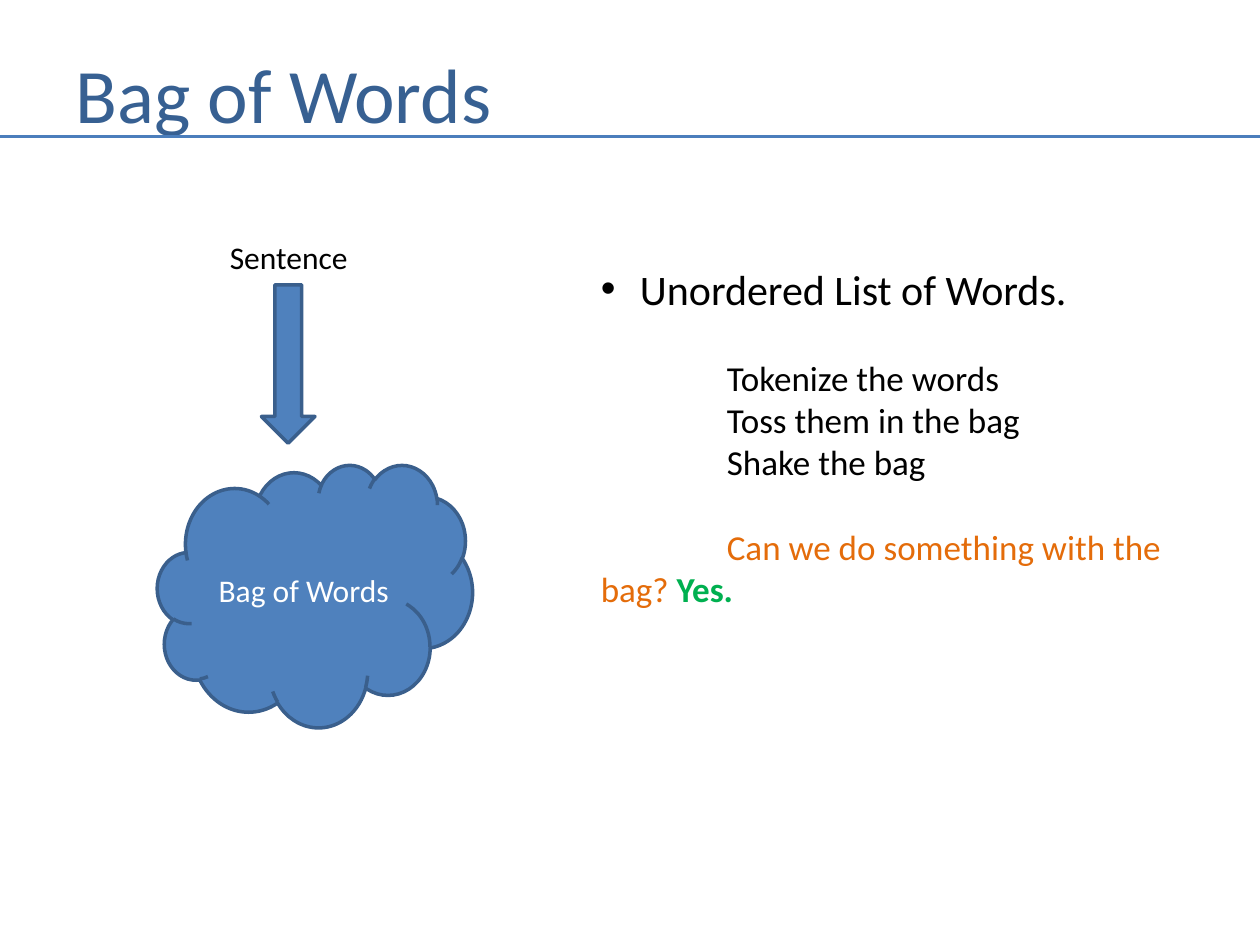
from lxml.etree import SubElement
from pptx import Presentation
from pptx.dml.color import RGBColor
from pptx.enum.shapes import MSO_CONNECTOR as Link, MSO_SHAPE as Shape
from pptx.enum.text import MSO_ANCHOR as Anchor, PP_ALIGN as Align
from pptx.oxml.ns import qn
from pptx.util import Inches, Pt

FONT = "Calibri"
NAVY = RGBColor(0x37, 0x60, 0x92)
RULE = RGBColor(0x4B, 0x7E, 0xBC)
BLUE = RGBColor(0x4F, 0x81, 0xBD)
EDGE = RGBColor(0x3A, 0x5F, 0x8C)
ORANGE = RGBColor(0xE4, 0x6C, 0x0A)
GREEN = RGBColor(0x00, 0xB0, 0x50)
BLACK = RGBColor(0, 0, 0)
WHITE = RGBColor(255, 255, 255)

WIDTH, HEIGHT = 10, 7.5
STEPS = ["Tokenize the words", "Toss them in the bag", "Shake the bag"]
BLANK_LINE = 24.4  # height in points of one line of 20 pt text


def inches(*box):
    return [Inches(v) for v in box]


def write(para, text, size=18, color=BLACK, bold=False):
    run = para.add_run()
    run.text = text
    font = run.font
    font.name, font.size, font.bold = FONT, Pt(size), bold
    font.color.rgb = color


def indent(para, left, first, bullet=None):
    """Set left margin and first-line indent in inches, with an optional bullet."""
    props = para._p.get_or_add_pPr()
    props.set("marL", str(Inches(left)))
    props.set("indent", str(Inches(first)))
    if bullet:
        SubElement(props, qn("a:buFont"), typeface="Arial")
        SubElement(props, qn("a:buChar"), char=bullet)


def add_box(slide, box, wrap=True, anchor=Anchor.TOP):
    frame = slide.shapes.add_textbox(*inches(*box)).text_frame
    frame.word_wrap = wrap
    frame.vertical_anchor = anchor
    return frame


def add_solid(slide, kind, box):
    shape = slide.shapes.add_shape(kind, *inches(*box))
    shape.shadow.inherit = False
    shape.fill.solid()
    shape.fill.fore_color.rgb = BLUE
    shape.line.color.rgb = EDGE
    shape.line.width = Pt(2)
    return shape


def add_header(slide, box):
    x, y, w, h = box
    frame = add_box(slide, (x + 0.05 * w, y, 0.86 * w, h), anchor=Anchor.MIDDLE)
    write(frame.paragraphs[0], "Bag of Words", size=44, color=NAVY)
    level = y + 0.9 * h
    rule = slide.shapes.add_connector(Link.STRAIGHT, *inches(x, level, x + w, level))
    rule.line.color.rgb = RULE
    rule.line.width = Pt(1.5)
    SubElement(rule._element.spPr, qn("a:effectLst"))


def add_diagram(slide, box):
    """Sentence label on top, arrow below it, cloud at the bottom."""
    x, y, w, h = box
    cloud = add_solid(slide, Shape.CLOUD, (x, y + 0.47 * h, w, 0.53 * h))
    cloud.text_frame.vertical_anchor = Anchor.MIDDLE
    para = cloud.text_frame.paragraphs[0]
    para.alignment = Align.CENTER
    write(para, "Bag of Words", color=WHITE)
    label = add_box(slide, (x + 0.19 * w, y, 0.46 * w, 0.1 * h), wrap=False)
    write(label.paragraphs[0], "Sentence")
    add_solid(slide, Shape.DOWN_ARROW,
              (x + 0.33 * w, y + 0.107 * h, 0.17 * w, 0.32 * h))


def add_notes(slide, box):
    frame = add_box(slide, box)
    head = frame.paragraphs[0]
    indent(head, 0.31, -0.31, bullet="•")
    write(head, "Unordered List of Words.", size=24)
    for i, step in enumerate(STEPS):
        para = frame.add_paragraph()
        indent(para, 0, 1)
        para.space_before = Pt(0 if i else BLANK_LINE)
        write(para, step, size=20)
    close = frame.add_paragraph()
    indent(close, 0, 1)
    close.space_before = Pt(BLANK_LINE)
    write(close, "Can we do something with the bag? ", size=20, color=ORANGE)
    write(close, "Yes.", size=20, color=GREEN, bold=True)


def main():
    deck = Presentation()
    deck.slide_width, deck.slide_height = inches(WIDTH, HEIGHT)
    slide = deck.slides.add_slide(deck.slide_layouts[6])
    add_header(slide, (0, 0.04 * HEIGHT, WIDTH, 0.116 * HEIGHT))
    add_diagram(slide, (0.125 * WIDTH, 1.84, 0.25 * WIDTH, 3.93))
    add_notes(slide, (4.67, 2.04, 5.08, 2.86))
    deck.save("out.pptx")


if __name__ == "__main__":
    main()
